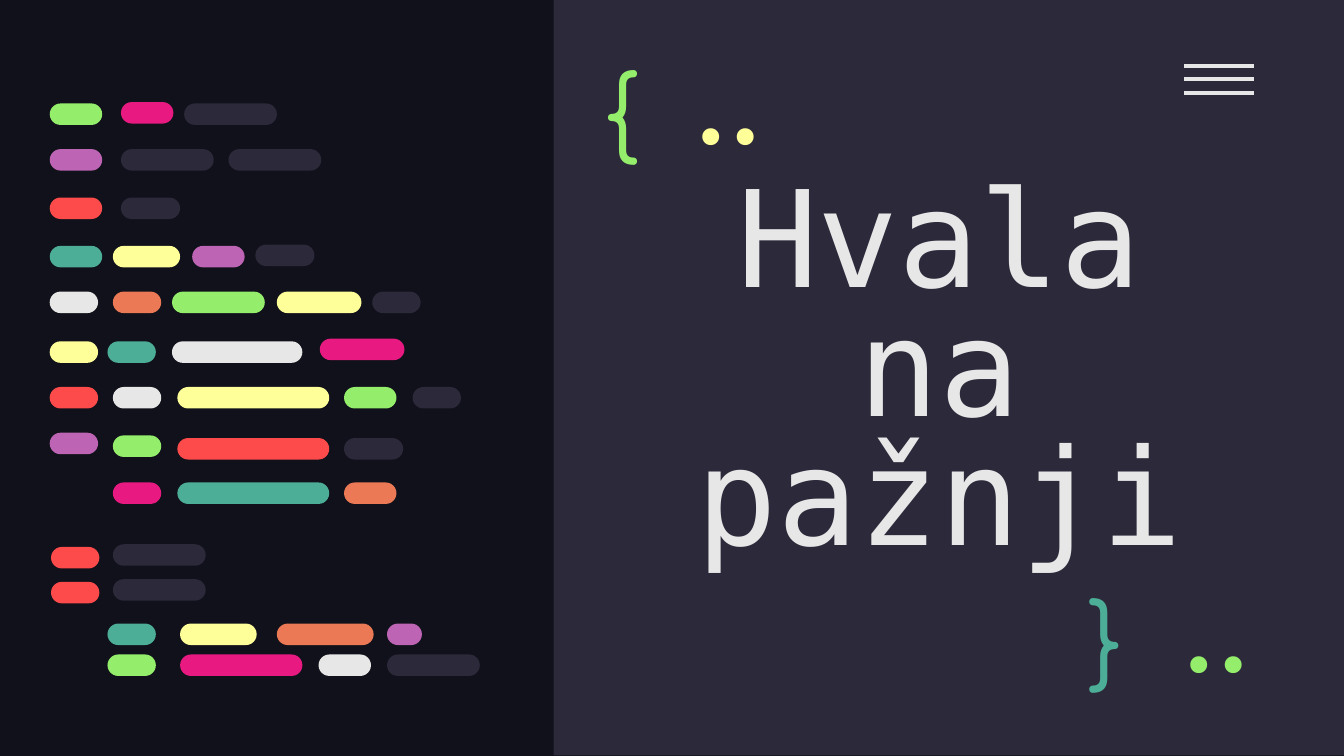
from dataclasses import dataclass

from lxml import etree
from pptx import Presentation
from pptx.dml.color import RGBColor
from pptx.enum.shapes import MSO_CONNECTOR, MSO_SHAPE
from pptx.enum.text import MSO_ANCHOR, PP_ALIGN
from pptx.oxml.ns import qn
from pptx.util import Inches, Pt

RECTANGLE, PILL = MSO_SHAPE.RECTANGLE, MSO_SHAPE.ROUNDED_RECTANGLE
STRAIGHT = MSO_CONNECTOR.STRAIGHT
TOP, MIDDLE = MSO_ANCHOR.TOP, MSO_ANCHOR.MIDDLE
LEFT, CENTER, RIGHT = PP_ALIGN.LEFT, PP_ALIGN.CENTER, PP_ALIGN.RIGHT


@dataclass(frozen=True)
class Theme:
    night: str = "10111A"
    panel: str = "2C293A"
    light: str = "E7E7E7"
    green: str = "94EE6B"
    pink: str = "E81A81"
    purple: str = "BD64B5"
    red: str = "FD4A4A"
    teal: str = "4CAE97"
    yellow: str = "FFFF99"
    orange: str = "EC7955"
    title_size: int = 72
    symbol_size: int = 50
    title_font: str = "DejaVu Sans Mono"
    brace_font: str = "Comfortaa"
    dots_font: str = "Fira Code"


theme = Theme()


def add_block(shapes, kind, left, top, width, height, color):
    block = shapes.add_shape(kind, Inches(left), Inches(top), Inches(width), Inches(height))
    block.shadow.inherit = False
    block.fill.solid()
    block.fill.fore_color.rgb = RGBColor.from_string(color)
    block.line.fill.background()
    return block


def add_text(text, left, top, width, height, font, size, color, align, anchor):
    box = page.shapes.add_textbox(Inches(left), Inches(top), Inches(width), Inches(height))
    frame = box.text_frame
    frame.word_wrap = True
    frame.vertical_anchor = anchor
    frame.margin_left = frame.margin_right = Inches(0.1)
    frame.margin_top = frame.margin_bottom = Inches(0.1)
    frame.text = text
    para = frame.paragraphs[0]
    para.alignment = align
    span = para.runs[0]
    span.font.name = font
    span.font.size = Pt(size)
    span.font.color.rgb = RGBColor.from_string(color)
    return para


# Widescreen page, 16:9
deck = Presentation()
deck.slide_width = Inches(10)
deck.slide_height = deck.slide_width * 9 // 16
page = deck.slides.add_slide(deck.slide_layouts[6])
page.background.fill.solid()
page.background.fill.fore_color.rgb = RGBColor.from_string(theme.night)

# Right-hand panel
add_block(page.shapes, RECTANGLE, 4.12, 0, 5.88, 5.62, theme.panel)

# Menu icon
for index in range(3):
    height = Inches(0.49 + 0.1 * index)
    bar = page.shapes.add_connector(STRAIGHT, Inches(8.81), height, Inches(9.33), height)
    bar.line.color.rgb = RGBColor.from_string(theme.light)
    bar.line.width = Pt(2.25)
    etree.SubElement(bar._element.spPr, qn("a:effectLst"))

# Title
title = add_text("Hvala na pažnji", 4.76, 1.43, 4.46, 2.77, theme.title_font,
                 theme.title_size, theme.light, CENTER, MIDDLE)
title.line_spacing = 0.8

# Code lines: each pill is left, top, width, colour
code_lines = [
    [(0.37, 0.77, 0.39, theme.green), (0.9, 0.76, 0.39, theme.pink),
     (1.37, 0.77, 0.69, theme.panel)],
    [(0.37, 1.11, 0.39, theme.purple), (0.9, 1.11, 0.69, theme.panel),
     (1.7, 1.11, 0.69, theme.panel)],
    [(0.37, 1.47, 0.39, theme.red), (0.9, 1.47, 0.44, theme.panel)],
    [(0.37, 1.83, 0.39, theme.teal), (0.84, 1.83, 0.5, theme.yellow),
     (1.43, 1.83, 0.39, theme.purple), (1.9, 1.82, 0.44, theme.panel)],
    [(0.37, 2.17, 0.36, theme.light), (0.84, 2.17, 0.36, theme.orange),
     (1.28, 2.17, 0.69, theme.green), (2.06, 2.17, 0.63, theme.yellow),
     (2.77, 2.17, 0.36, theme.panel)],
    [(0.37, 2.54, 0.36, theme.yellow), (0.8, 2.54, 0.36, theme.teal),
     (1.28, 2.54, 0.97, theme.light), (2.38, 2.52, 0.63, theme.pink)],
    [(0.37, 2.88, 0.36, theme.red), (0.84, 2.88, 0.36, theme.light),
     (1.32, 2.88, 1.13, theme.yellow), (2.56, 2.88, 0.39, theme.green),
     (3.07, 2.88, 0.36, theme.panel)],
    [(0.37, 3.22, 0.36, theme.purple), (0.84, 3.24, 0.36, theme.green),
     (1.32, 3.26, 1.13, theme.red), (2.56, 3.26, 0.44, theme.panel)],
    [(0.84, 3.59, 0.36, theme.pink), (1.32, 3.59, 1.13, theme.teal),
     (2.56, 3.59, 0.39, theme.orange)],
    [(0.38, 4.07, 0.36, theme.red), (0.84, 4.05, 0.69, theme.panel)],
    [(0.38, 4.33, 0.36, theme.red), (0.84, 4.31, 0.69, theme.panel)],
    [(0.8, 4.64, 0.36, theme.teal), (1.34, 4.64, 0.57, theme.yellow),
     (2.06, 4.64, 0.72, theme.orange), (2.88, 4.64, 0.26, theme.purple)],
    [(0.8, 4.87, 0.36, theme.green), (1.34, 4.87, 0.91, theme.pink),
     (2.37, 4.87, 0.39, theme.light), (2.88, 4.87, 0.69, theme.panel)],
]
code_group = page.shapes.add_group_shape()
for code_line in code_lines:
    for left, top, width, color in code_line:
        pill = add_block(code_group.shapes, PILL, left, top, width, 0.16, color)
        pill.adjustments[0] = 0.5

# Braces
for text, left, top, width, height, color in [
    ("{", 4.39, 0.27, 0.77, 0.95, theme.green),
    ("}", 8, 4.2, 0.57, 0.83, theme.teal),
]:
    add_text(text, left, top, width, height, theme.brace_font,
             theme.symbol_size, color, LEFT, TOP)

# Dots
for left, top, color in [(8.51, 4.43, theme.green), (4.88, 0.5, theme.yellow)]:
    add_text("..", left, top, 1.07, 0.6, theme.dots_font,
             theme.symbol_size, color, RIGHT, MIDDLE)

deck.save("out.pptx")
